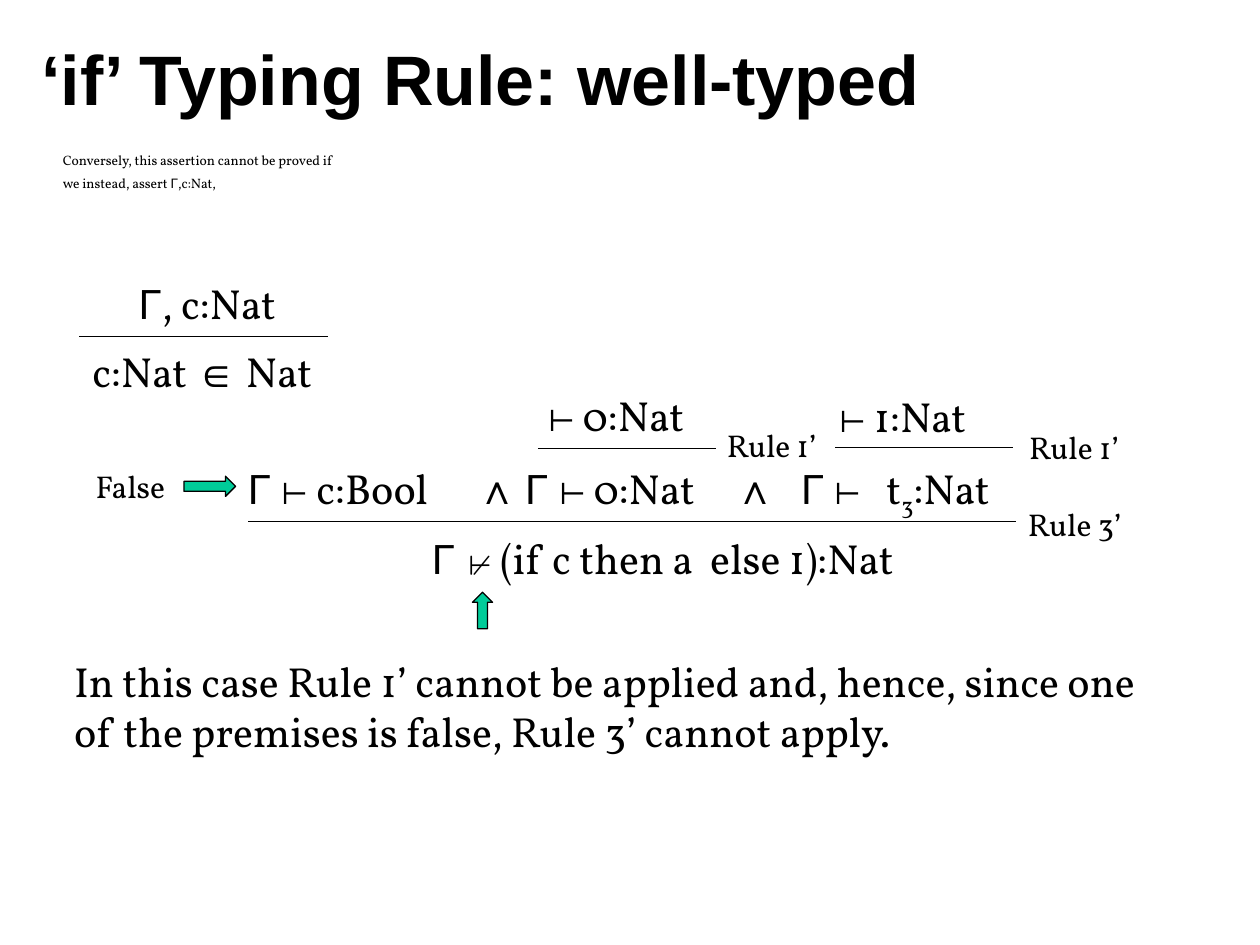
from lxml import etree
from pptx import Presentation
from pptx.dml.color import RGBColor
from pptx.enum.shapes import MSO_CONNECTOR, MSO_SHAPE
from pptx.enum.text import MSO_ANCHOR, PP_ALIGN
from pptx.oxml.ns import qn
from pptx.util import Inches, Pt

LEFT, CENTER = PP_ALIGN.LEFT, PP_ALIGN.CENTER
MIDDLE = MSO_ANCHOR.MIDDLE
STRAIGHT = MSO_CONNECTOR.STRAIGHT
UP_ARROW, RIGHT_ARROW = MSO_SHAPE.UP_ARROW, MSO_SHAPE.RIGHT_ARROW
BODY, GREEK, SYMBOL = "Vollkorn", "Arial", "Courier New"
BLACK, GREEN = "000000", "00CC99"


def color(value):
    return RGBColor.from_string(value)


def add_text(paragraphs, x, y, w, h, size=24, wrap=False, align=LEFT,
             line_spacing=None, gap=0, tabs=()):
    tf = s.shapes.add_textbox(Inches(x), Inches(y), Inches(w), Inches(h)).text_frame
    tf.word_wrap = wrap
    for i, runs in enumerate(paragraphs):
        p = tf.paragraphs[0] if i == 0 else tf.add_paragraph()
        p.alignment = align
        if line_spacing:
            p.line_spacing = line_spacing
        if i and gap:
            p.space_before = Pt(gap)
        if tabs:
            tab_list = etree.SubElement(p._p.get_or_add_pPr(), qn("a:tabLst"))
            for stop in tabs:
                etree.SubElement(tab_list, qn("a:tab"), pos=str(Inches(stop)), algn="l")
        for text, font, *baseline in runs:
            r = p.add_run()
            r.text = text
            r.font.name = font
            r.font.size = Pt(size)
            r.font.color.rgb = color(BLACK)
            if baseline:
                r.font._element.set("baseline", str(baseline[0]))


prs = Presentation()
prs.slide_width, prs.slide_height = Inches(10), Inches(7.5)
s = prs.slides.add_slide(prs.slide_layouts[5])

title = s.shapes.title
title.left, title.top = Inches(0.23), Inches(0.15)
title.width, title.height = Inches(8.03), Inches(0.93)
tf = title.text_frame
tf.vertical_anchor = MIDDLE
tf.word_wrap = True
p = tf.paragraphs[0]
p.alignment = LEFT
r = p.add_run()
r.text = "‘if’ Typing Rule: well-typed"
r.font.name = "Arial"
r.font.size = Pt(40)
r.font.bold = True
r.font.color.rgb = color(BLACK)

add_text([[("Conversely, this assertion cannot be proved if", BODY)],
          [("we instead, assert ", BODY), ("Γ", GREEK), (",c:Nat,", BODY)]],
         0.4, 1.18, 7.85, 0.47, size=7.8, wrap=True, line_spacing=0.8, gap=6)
add_text([[("In this case Rule 1’ cannot be applied and, hence, since one "
            "of the premises is false, Rule 3’ cannot apply.", BODY)]],
         0.49, 5.15, 8.65, 1.3, wrap=True)

add_text([[("Γ", GREEK), (", c:Nat", BODY)]], 0.95, 2.15, 1.39, 0.5, align=CENTER)
add_text([[("c:Nat ", BODY), ("∈", GREEK), (" Nat", BODY)]],
         0.61, 2.69, 1.99, 0.5, align=CENTER)

for x, y, value in [(4.26, 3.04, "0"), (6.57, 3.05, "1")]:
    add_text([[("⊢", SYMBOL), (f" {value}:Nat", BODY)]], x, y, 1.42, 0.5)

add_text([[("Γ ", GREEK), ("⊢", SYMBOL), (" c:Bool\t", BODY),
           ("∧\tΓ ", GREEK), ("⊢", SYMBOL), (" 0:Nat\t", BODY),
           ("∧\tΓ ", GREEK), ("⊢ ", SYMBOL), ("t", BODY),
           ("3", BODY, -25000), (":Nat", BODY)]],
         1.87, 3.62, 6.67, 0.56, wrap=True, tabs=(1.81, 2.2, 3.86, 4.39))
add_text([[("Γ ", GREEK), ("⊬", SYMBOL), (" (if c then a  else 1):Nat", BODY)]],
         3.33, 4.18, 4.11, 0.9, wrap=True)

for label, x, y, w in [("Rule 1’", 5.67, 3.33, 1), ("Rule 1’", 8.07, 3.35, 1),
                       ("Rule 3’", 8.06, 3.96, 1), ("False", 0.66, 3.66, 0.81)]:
    add_text([[(label, BODY)]], x, y, w, 0.4, size=18)

for x1, x2, y in [(0.63, 2.6, 2.67), (4.27, 5.68, 3.56),
                  (6.63, 8.04, 3.55), (1.97, 8.06, 4.14)]:
    bar = s.shapes.add_connector(STRAIGHT, Inches(x1), Inches(y), Inches(x2), Inches(y))
    bar.line.color.rgb = color(BLACK)
    bar.line.width = Pt(0.75)
    etree.SubElement(bar._element.spPr, qn("a:effectLst"))

for kind, x, y, w, h in [(UP_ARROW, 3.75, 4.7, 0.16, 0.29),
                         (RIGHT_ARROW, 1.46, 3.78, 0.41, 0.16)]:
    arrow = s.shapes.add_shape(kind, Inches(x), Inches(y), Inches(w), Inches(h))
    arrow.shadow.inherit = False
    arrow.fill.solid()
    arrow.fill.fore_color.rgb = color(GREEN)
    arrow.line.color.rgb = color(BLACK)
    arrow.line.width = Pt(0.75)

prs.save("out.pptx")
